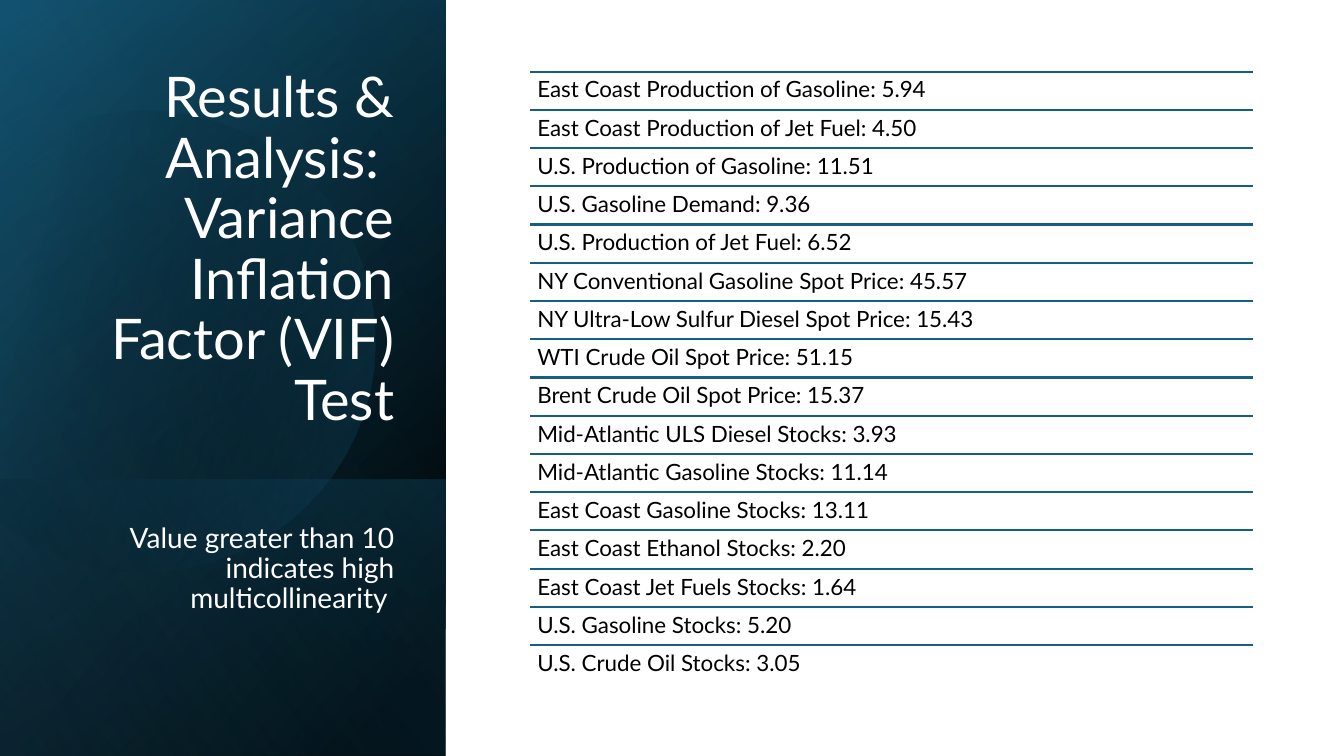
from math import cos, radians, sin

from lxml import etree
from pptx import Presentation
from pptx.dml.color import RGBColor
from pptx.enum.shapes import MSO_CONNECTOR, MSO_SHAPE
from pptx.enum.text import MSO_ANCHOR, MSO_AUTO_SIZE, PP_ALIGN
from pptx.oxml.ns import qn
from pptx.util import Inches, Pt

RECTANGLE = MSO_SHAPE.RECTANGLE
STRAIGHT = MSO_CONNECTOR.STRAIGHT
TOP, BOTTOM = MSO_ANCHOR.TOP, MSO_ANCHOR.BOTTOM
LEFT, RIGHT = PP_ALIGN.LEFT, PP_ALIGN.RIGHT
NO_AUTOFIT = MSO_AUTO_SIZE.NONE

FONT = "Lato"
COLORS = {
    "white": "FFFFFF",
    "black": "000000",
    "navy": "104862",
    "teal": "156082",
    "sky": "46B1E1",
}

# Panel layers: box, two (position %, colour, opacity %) stops, clockwise angle
PANEL = (-1.54, 1.54, 7.5, 4.42)
FOOT = (0.84, 3.92, 2.74, 4.42)
BASE_LAYERS = [
    (PANEL, [(8, "black", 100), (100, "navy", 100)], 50),
    (PANEL, [(0, "black", 0), (99, "teal", 46)], 30),
    (FOOT, [(2, "teal", 29), (100, "black", 30)], 130),
]
TOP_LAYER = (PANEL, [(0, "black", 0), (99, "sky", 11)], 120)

# Glow outline in slide coordinates: two points make a line, four a curve
GLOW_SEGMENTS = [
    [(1.49, 1.1), (2.46, 1.12), (3.35, 1.77), (3.63, 2.75)],
    [(3.63, 2.75), (3.98, 3.97), (3.28, 5.23), (2.07, 5.58)],
    [(2.07, 5.58), (1.31, 5.8), (0.53, 5.61), (-0.03, 5.14)],
    [(-0.03, 5.14), (-0.15, 5.03)],
    [(-0.15, 5.03), (-0.15, 1.75)],
    [(-0.15, 1.75), (0, 1.61)],
    [(0, 1.61), (0.23, 1.42), (0.5, 1.28), (0.8, 1.19)],
    [(0.8, 1.19), (1.03, 1.13), (1.26, 1.1), (1.49, 1.1)],
]
GLOW_CENTER = (1.58, 3.34)
GLOW_ROTATION = 343.9
CURVE_STEPS = 16

FACTORS = [
    "East Coast Production of Gasoline: 5.94",
    "East Coast Production of Jet Fuel: 4.50",
    "U.S. Production of Gasoline: 11.51",
    "U.S. Gasoline Demand: 9.36",
    "U.S. Production of Jet Fuel: 6.52",
    "NY Conventional Gasoline Spot Price: 45.57",
    "NY Ultra-Low Sulfur Diesel Spot Price: 15.43",
    "WTI Crude Oil Spot Price: 51.15",
    "Brent Crude Oil Spot Price: 15.37",
    "Mid-Atlantic ULS Diesel Stocks: 3.93",
    "Mid-Atlantic Gasoline Stocks: 11.14",
    "East Coast Gasoline Stocks: 13.11",
    "East Coast Ethanol Stocks: 2.20",
    "East Coast Jet Fuels Stocks: 1.64",
    "U.S. Gasoline Stocks: 5.20",
    "U.S. Crude Oil Stocks: 3.05",
]
LIST_LEFT, LIST_TOP, LIST_WIDTH, LIST_HEIGHT = 5.26, 0.71, 7.17, 6.07


def color(name):
    return RGBColor.from_string(COLORS[name])


def inches(values):
    return [Inches(value) for value in values]


def fill_gradient(shape, stops, angle):
    """Fill with two stops and no outline; the angle runs clockwise."""
    shape.shadow.inherit = False
    shape.line.fill.background()
    shape.fill.gradient()
    shape.fill.gradient_angle = 360 - angle
    for gradient_stop, (position, name, _) in zip(shape.fill.gradient_stops, stops):
        gradient_stop.position = position / 100
        gradient_stop.color.rgb = color(name)
    color_elements = shape._element.spPr.iter(qn("a:srgbClr"))
    for element, (_, _, opacity) in zip(list(color_elements), stops):
        etree.SubElement(element, qn("a:alpha")).set("val", str(opacity * 1000))


def add_background(slide, presentation):
    shape = slide.shapes.add_shape(
        RECTANGLE, 0, 0, presentation.slide_width, presentation.slide_height)
    shape.shadow.inherit = False
    shape.fill.solid()
    shape.fill.fore_color.rgb = color("white")
    shape.line.fill.background()


def add_layer(slide, box, stops, angle):
    shape = slide.shapes.add_shape(RECTANGLE, *inches(box))
    shape.rotation = 90
    shape._element.spPr.find(qn("a:xfrm")).set("flipH", "1")
    fill_gradient(shape, stops, angle)


def curve_point(points, t):
    """Point on a Bezier curve of any degree (de Casteljau)."""
    while len(points) > 1:
        points = [(x1 + (x2 - x1) * t, y1 + (y2 - y1) * t)
                  for (x1, y1), (x2, y2) in zip(points, points[1:])]
    return points[0]


def unrotate(point):
    """Undo the glow's rotation, which the shape applies again."""
    turn = radians(-GLOW_ROTATION)
    center_x, center_y = GLOW_CENTER
    x, y = point[0] - center_x, point[1] - center_y
    return (Inches(center_x + x * cos(turn) - y * sin(turn)),
            Inches(center_y + x * sin(turn) + y * cos(turn)))


def add_glow(slide):
    vertices = [unrotate(GLOW_SEGMENTS[0][0])]
    for segment in GLOW_SEGMENTS:
        steps = CURVE_STEPS if len(segment) > 2 else 1
        vertices += [unrotate(curve_point(segment, step / steps))
                     for step in range(1, steps + 1)]
    builder = slide.shapes.build_freeform(*vertices[0])
    builder.add_line_segments(vertices[1:], close=True)
    shape = builder.convert_to_shape()
    shape.rotation = GLOW_ROTATION
    fill_gradient(shape, [(29, "black", 0), (100, "teal", 43)], 30)


def set_text(shape, text, size, name, alignment, anchor, insets=(0.1, 0.05)):
    frame = shape.text_frame
    frame.text = text
    frame.word_wrap = True
    frame.auto_size = NO_AUTOFIT
    frame.vertical_anchor = anchor
    frame.margin_left = frame.margin_right = Inches(insets[0])
    frame.margin_top = frame.margin_bottom = Inches(insets[1])
    paragraph = frame.paragraphs[0]
    paragraph.alignment = alignment
    paragraph.line_spacing = 0.9
    paragraph.font.size = Pt(size)
    paragraph.font.name = FONT
    paragraph.font.color.rgb = color(name)


def add_title(slide, text):
    title = slide.shapes.title
    title.left, title.top, title.width, title.height = inches((0.51, 0.64, 3.5, 3.7))
    set_text(title, text, 40, "white", RIGHT, BOTTOM)
    slide.shapes._spTree.append(title._element)  # in front of the panel


def add_rule(shapes, top):
    rule = shapes.add_connector(
        STRAIGHT, *inches((LIST_LEFT, top, LIST_LEFT + LIST_WIDTH, top)))
    rule.line.color.rgb = color("teal")
    rule.line.width = Pt(1.5)
    etree.SubElement(rule._element.spPr, qn("a:effectLst"))


def add_factor_list(slide):
    shapes = slide.shapes.add_group_shape().shapes
    row_height = LIST_HEIGHT / len(FACTORS)
    for row, factor in enumerate(FACTORS):
        top = LIST_TOP + row * row_height
        add_rule(shapes, top)
        box = shapes.add_textbox(*inches((LIST_LEFT, top, LIST_WIDTH, row_height)))
        set_text(box, factor, 16, "black", LEFT, TOP, (0.07, 0.07))


def main():
    presentation = Presentation()
    presentation.slide_width = Inches(13.33)
    presentation.slide_height = Inches(7.5)
    slide = presentation.slides.add_slide(
        presentation.slide_layouts.get_by_name("Title Only"))
    add_background(slide, presentation)
    for layer in BASE_LAYERS:
        add_layer(slide, *layer)
    add_glow(slide)
    add_layer(slide, *TOP_LAYER)
    add_title(slide, "Results & Analysis: \vVariance Inflation Factor (VIF) Test")
    note = slide.shapes.add_textbox(*inches((0.51, 5.05, 3.5, 1.1)))
    set_text(note, "Value greater than 10 indicates high multicollinearity ",
             20, "white", RIGHT, BOTTOM)
    add_factor_list(slide)
    presentation.save("out.pptx")


if __name__ == "__main__":
    main()
